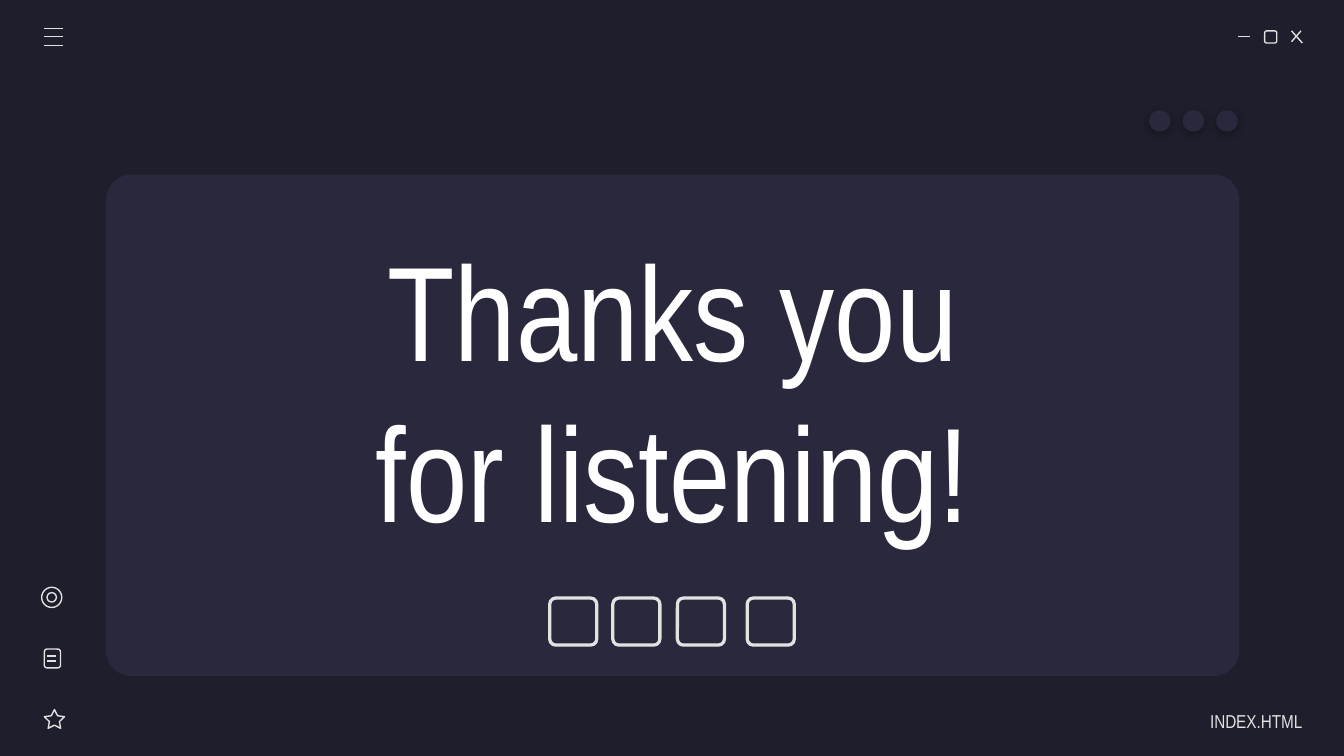
from typing import NamedTuple, Optional

from lxml.etree import SubElement
from pptx import Presentation
from pptx.dml.color import RGBColor
from pptx.enum.shapes import MSO_CONNECTOR, MSO_SHAPE
from pptx.enum.text import MSO_ANCHOR, MSO_AUTO_SIZE, PP_ALIGN
from pptx.oxml.ns import qn
from pptx.util import Inches, Pt

SLIDE_WIDTH = 10
SLIDE_HEIGHT = SLIDE_WIDTH * 9 / 16
BACKGROUND = "1E1E2C"
PANEL = "29283D"
LIGHT = "E2E2E2"
WHITE = "FFFFFF"
FONT = "Arial Narrow"


class Box(NamedTuple):
    left: float
    top: float
    width: float
    height: float


class Icon(NamedTuple):
    kind: MSO_SHAPE
    box: Box
    corner: Optional[float] = None
    weight: float = 0.75


class Stroke(NamedTuple):
    x1: float
    y1: float
    x2: float
    y2: float


WINDOW_ICONS = [Icon(MSO_SHAPE.ROUNDED_RECTANGLE, Box(9.41, 0.23, 0.09, 0.09))]
SIDE_ICONS = [
    Icon(MSO_SHAPE.STAR_5_POINT, Box(0.33, 5.28, 0.15, 0.14), 0.25),
    Icon(MSO_SHAPE.ROUNDED_RECTANGLE, Box(0.33, 4.83, 0.12, 0.14)),
    Icon(MSO_SHAPE.OVAL, Box(0.31, 4.37, 0.15, 0.15)),
    Icon(MSO_SHAPE.OVAL, Box(0.35, 4.41, 0.07, 0.07)),
]
SOCIAL_ICONS = [
    Icon(MSO_SHAPE.ROUNDED_RECTANGLE, Box(left, 4.45, 0.35, 0.35), 0.13, 1.75)
    for left in (4.09, 4.56, 5.04, 5.56)
]

MINIMIZE = [Stroke(9.21, 0.27, 9.3, 0.27)]
CLOSE = [Stroke(9.61, 0.23, 9.69, 0.32), Stroke(9.68, 0.23, 9.61, 0.31)]
MENU = [Stroke(0.33, y, 0.47, y) for y in (0.21, 0.27, 0.34)]
NOTE_LINES = [Stroke(0.35, y, 0.42, y) for y in (4.88, 4.92)]


def color(hex_string: str) -> RGBColor:
    return RGBColor.from_string(hex_string)


def add_filled(shapes, kind: MSO_SHAPE, box: Box):
    """Add a borderless, shadowless shape in the panel colour."""
    shape = shapes.add_shape(kind, *map(Inches, box))
    shape.fill.solid()
    shape.fill.fore_color.rgb = color(PANEL)
    shape.line.fill.background()
    shape.shadow.inherit = False
    return shape


def add_icon(shapes, icon: Icon) -> None:
    outline = shapes.add_shape(icon.kind, *map(Inches, icon.box))
    if icon.corner is not None:
        outline.adjustments[0] = icon.corner
    outline.fill.background()
    outline.line.color.rgb = color(LIGHT)
    outline.line.width = Pt(icon.weight)
    outline.shadow.inherit = False


def add_stroke(shapes, stroke: Stroke) -> None:
    line = shapes.add_connector(MSO_CONNECTOR.STRAIGHT, *map(Inches, stroke))
    line.line.color.rgb = color(LIGHT)
    line.line.width = Pt(0.75)
    SubElement(line.element.spPr, qn("a:effectLst"))


def add_soft_shadow(shape) -> None:
    effects = shape.element.spPr.find(qn("a:effectLst"))
    shadow = SubElement(effects, qn("a:outerShdw"), blurRad=str(Pt(4.5)),
                        dist=str(Pt(1.5)), dir="5400000", algn="bl", rotWithShape="0")
    black = SubElement(shadow, qn("a:srgbClr"), val="000000")
    SubElement(black, qn("a:alpha"), val="30000")


def fill_placeholder(holder, box: Box, text: str, size: float, ink: str,
                     align: PP_ALIGN, anchor: MSO_ANCHOR):
    """Move a placeholder to the box, write one run and return its paragraph."""
    holder.left, holder.top, holder.width, holder.height = map(Inches, box)
    frame = holder.text_frame
    frame.word_wrap = True
    frame.auto_size = MSO_AUTO_SIZE.NONE
    frame.vertical_anchor = anchor
    paragraph = frame.paragraphs[0]
    paragraph.alignment = align
    paragraph.space_before = Pt(0)
    run = paragraph.add_run()
    run.text = text
    run.font.name = FONT
    run.font.size = Pt(size)
    run.font.color.rgb = color(ink)
    return paragraph


def main() -> None:
    deck = Presentation()
    deck.slide_width, deck.slide_height = Inches(SLIDE_WIDTH), Inches(SLIDE_HEIGHT)
    slide = deck.slides.add_slide(deck.slide_layouts[0])
    slide.background.fill.solid()
    slide.background.fill.fore_color.rgb = color(BACKGROUND)
    shapes = slide.shapes
    title, file_name = shapes.title, slide.placeholders[1]

    panel = add_filled(shapes, MSO_SHAPE.ROUNDED_RECTANGLE, Box(0.79, 1.3, 8.43, 3.73))
    panel.adjustments[0] = 0.05
    title.element.addprevious(panel.element)  # keeps the panel behind the title

    title_frame = title.text_frame
    title_frame.margin_left = title_frame.margin_right = Inches(0.1)
    title_frame.margin_top = title_frame.margin_bottom = Inches(0.05)
    fill_placeholder(title, Box(2.5, 1.64, 5.01, 2.52), "Thanks you for listening!",
                     72, WHITE, PP_ALIGN.CENTER, MSO_ANCHOR.TOP)

    name_frame = file_name.text_frame
    name_frame.margin_left = name_frame.margin_top = name_frame.margin_bottom = Inches(0.1)
    name_frame.margin_right = 0
    name = fill_placeholder(file_name, Box(8.52, 5.2, 1.17, 0.3), "INDEX.HTML",
                            10, LIGHT, PP_ALIGN.RIGHT, MSO_ANCHOR.MIDDLE)
    name.line_spacing = 1.15

    for icon in WINDOW_ICONS + SIDE_ICONS + SOCIAL_ICONS:
        add_icon(shapes, icon)
    for stroke in MINIMIZE + CLOSE + MENU + NOTE_LINES:
        add_stroke(shapes, stroke)
    for index in range(3):
        dot = add_filled(shapes, MSO_SHAPE.OVAL, Box(8.55 + 0.25 * index, 0.82, 0.16, 0.16))
        add_soft_shadow(dot)

    deck.save("out.pptx")


if __name__ == "__main__":
    main()
